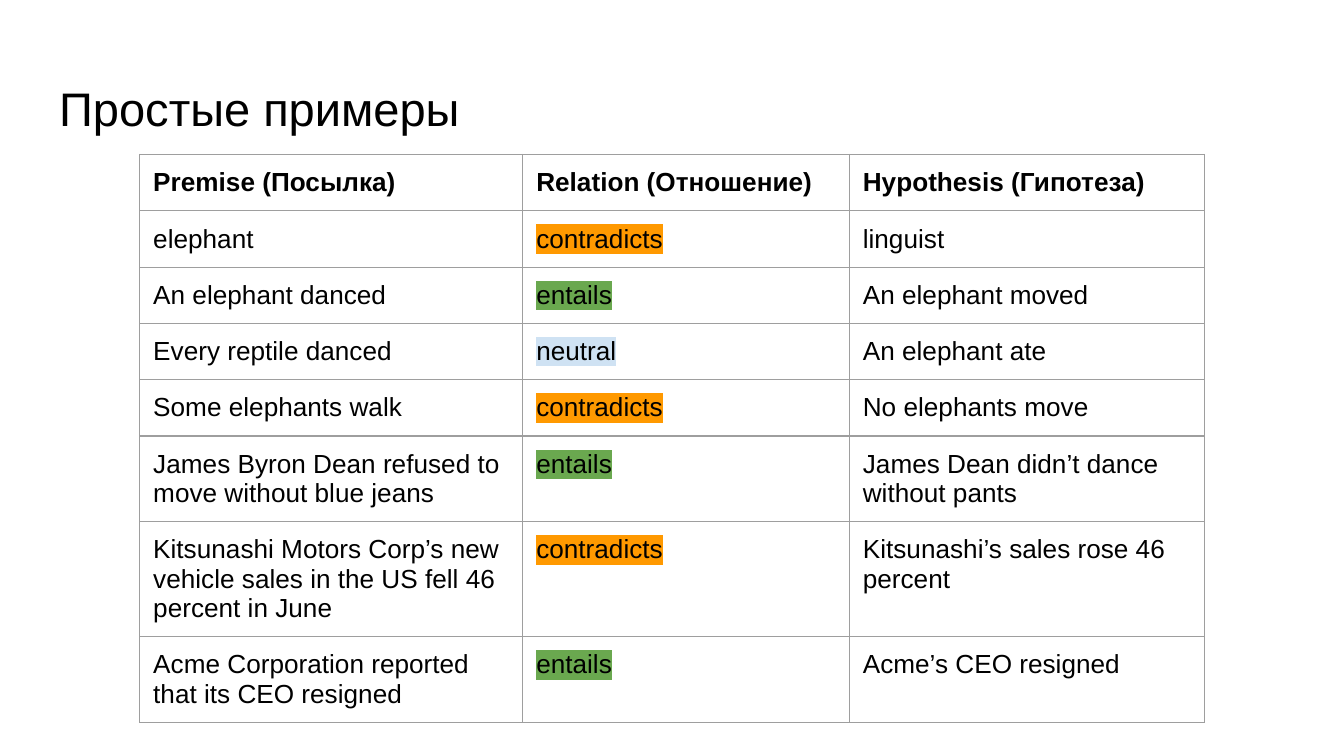
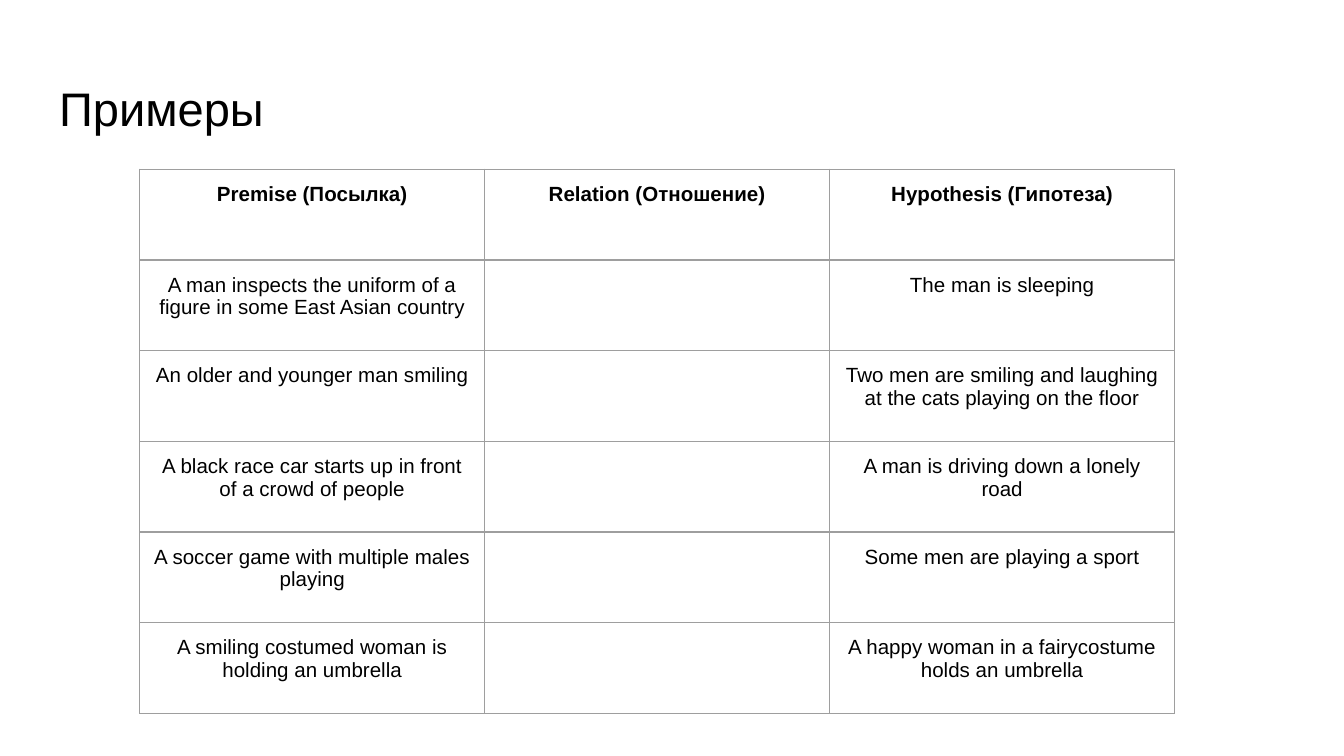
from lxml import etree
from pptx import Presentation
from pptx.dml.color import RGBColor
from pptx.enum import text
from pptx.oxml import ns
from pptx.util import Inches, Pt

SLIDE_WIDTH = 10
SLIDE_HEIGHT = SLIDE_WIDTH * 9 / 16
FONT = "Arial"
BLACK = "000000"
BORDER = "9E9E9E"
HIGHLIGHTS = {"contradicts": "FF9900", "entails": "6AA84F", "neutral": "CFE2F3"}
HEADER = ("Premise (Посылка)", "Relation (Отношение)", "Hypothesis (Гипотеза)")
TABLE_LEFT = 1.04
INSET = Inches(0.1)

SLIDES = [
    {
        "title": "Простые примеры",
        "title_height": 0.63,
        "top": 1.15,
        "columns": (2.85, 2.43, 2.64),
        "row_height": 5 / 12,
        "size": 14,
        "align": text.PP_ALIGN.LEFT,
        "rows": [
            ("elephant", "contradicts", "linguist"),
            ("An elephant danced", "entails", "An elephant moved"),
            ("Every reptile danced", "neutral", "An elephant ate"),
            ("Some elephants walk", "contradicts", "No elephants move"),
            ("James Byron Dean refused to move without blue jeans", "entails",
             "James Dean didn’t dance without pants"),
            ("Kitsunashi Motors Corp’s new vehicle sales in the US fell 46 percent in June",
             "contradicts", "Kitsunashi’s sales rose 46 percent"),
            ("Acme Corporation reported that its CEO resigned", "entails",
             "Acme’s CEO resigned"),
        ],
    },
    {
        "title": "Примеры",
        "title_height": 0.3,
        "top": 1.26,
        "columns": (7.7 / 3,) * 3,
        "row_height": 4.05 / 6,
        "size": 11,
        "align": text.PP_ALIGN.CENTER,
        "rows": [
            ("A man inspects the uniform of a figure in some East Asian country", "",
             "The man is sleeping"),
            ("An older and younger man smiling", "",
             "Two men are smiling and laughing at the cats playing on the floor"),
            ("A black race car starts up in front of a crowd of people", "",
             "A man is driving down a lonely road"),
            ("A soccer game with multiple males playing", "", "Some men are playing a sport"),
            ("A smiling costumed woman is holding an umbrella", "",
             "A happy woman in a fairycostume holds an umbrella"),
        ],
    },
]


def color(value):
    return RGBColor.from_string(value)


def add_span(para, words, size, bold=False):
    span = para.add_run()
    span.text = words
    span.font.name = FONT
    span.font.size = Pt(size)
    span.font.bold = bold
    span.font.color.rgb = color(BLACK)
    return span


def set_insets(target):
    target.margin_left = target.margin_right = INSET
    target.margin_top = target.margin_bottom = INSET


def highlight(span, value):
    """Mark the run's background; the schema wants it right after the text fill."""
    mark = etree.Element(ns.qn("a:highlight"))
    etree.SubElement(mark, ns.qn("a:srgbClr"), val=value)
    span._r.get_or_add_rPr().find(ns.qn("a:solidFill")).addnext(mark)


def set_borders(cell):
    properties = cell._tc.get_or_add_tcPr()
    for index, side in enumerate(("lnL", "lnR", "lnT", "lnB")):
        line = etree.Element(ns.qn(f"a:{side}"), w=str(Pt(0.75)))
        fill = etree.SubElement(line, ns.qn("a:solidFill"))
        etree.SubElement(fill, ns.qn("a:srgbClr"), val=BORDER)
        properties.insert(index, line)


def add_title(page, words, height):
    title = page.shapes.title
    title.left, title.top = Inches(0.34), Inches(0.49)
    title.width, title.height = Inches(9.32), Inches(height)
    frame = title.text_frame
    frame.word_wrap = True
    frame.auto_size = text.MSO_AUTO_SIZE.NONE
    frame.vertical_anchor = text.MSO_ANCHOR.TOP
    set_insets(frame)
    para = frame.paragraphs[0]
    para.alignment = text.PP_ALIGN.LEFT
    add_span(para, words, 25.2)


def fill_cell(cell, words, content, bold):
    cell.fill.background()
    set_insets(cell)
    cell.vertical_anchor = text.MSO_ANCHOR.TOP
    set_borders(cell)
    if not words:
        return
    para = cell.text_frame.paragraphs[0]
    para.alignment = content["align"]
    span = add_span(para, words, content["size"], bold)
    if words in HIGHLIGHTS:
        highlight(span, HIGHLIGHTS[words])


def add_examples(page, content):
    rows = [HEADER, *content["rows"]]
    columns = content["columns"]
    height = content["row_height"]
    table = page.shapes.add_table(
        len(rows), len(columns), Inches(TABLE_LEFT), Inches(content["top"]),
        Inches(sum(columns)), Inches(height * len(rows))).table
    table.first_row = table.horz_banding = False
    for column, width in zip(table.columns, columns):
        column.width = Inches(width)
    for r, row in enumerate(rows):
        table.rows[r].height = Inches(height)
        for c, words in enumerate(row):
            fill_cell(table.cell(r, c), words, content, bold=r == 0)


def main():
    deck = Presentation()
    deck.slide_width, deck.slide_height = Inches(SLIDE_WIDTH), Inches(SLIDE_HEIGHT)
    for content in SLIDES:
        page = deck.slides.add_slide(deck.slide_layouts[5])
        add_title(page, content["title"], content["title_height"])
        add_examples(page, content)
    deck.save("out.pptx")


if __name__ == "__main__":
    main()
